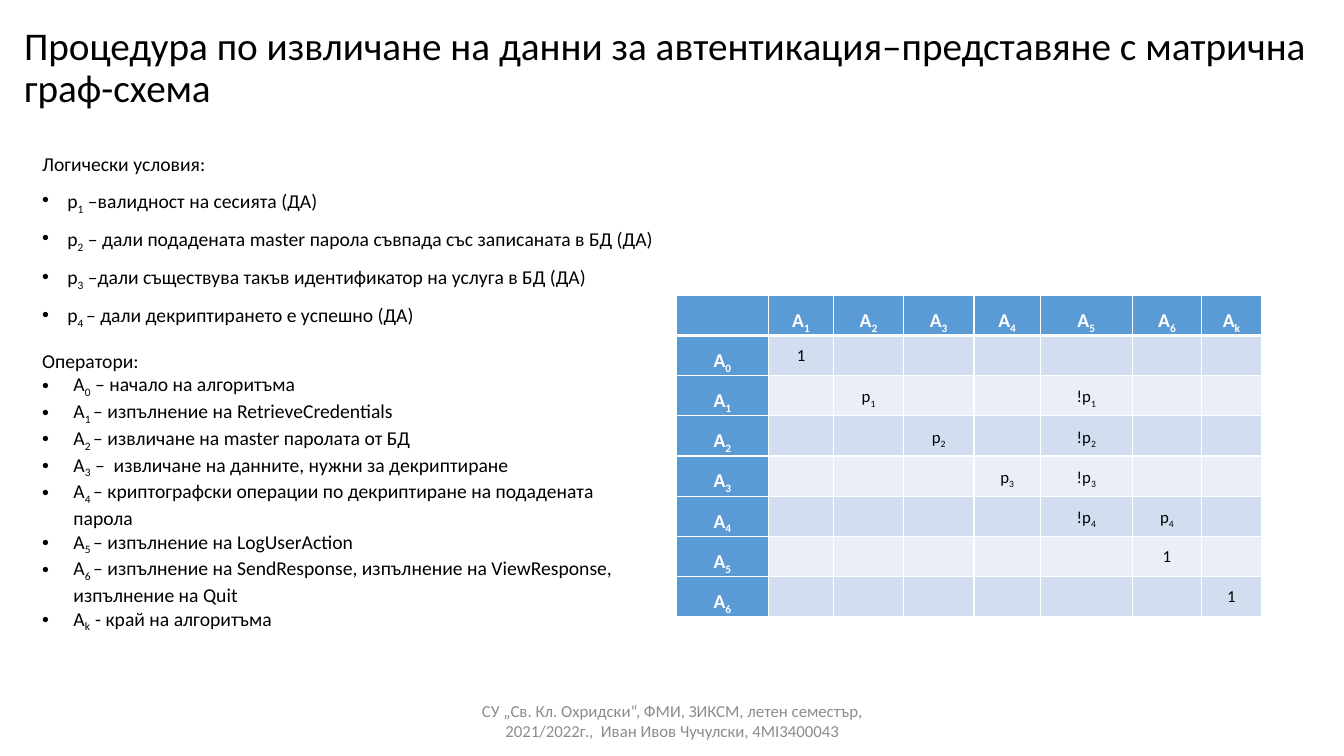
import pptx
import pptx.dml.color
import pptx.enum.text
import pptx.oxml
import pptx.oxml.ns
import pptx.util
from dataclasses import dataclass

Inches = pptx.util.Inches
Pt = pptx.util.Pt
MSO_ANCHOR = pptx.enum.text.MSO_ANCHOR
PP_ALIGN = pptx.enum.text.PP_ALIGN


@dataclass
class Theme:
    font: str = "Calibri"
    title_size: int = 28
    body_size: int = 14
    small_size: int = 12
    ink: str = "000000"
    muted: str = "8C8C8C"
    white: str = "FFFFFF"
    header: str = "5B9BD5"
    bands: tuple = ("D2DEEF", "EAEFF7")


theme = Theme()


def add_text(p, text, size, color, bold=False):
    """Write text into a paragraph; parts between bars become subscripts."""
    for i, part in enumerate(text.split("|")):
        if not part:
            continue
        r = p.add_run()
        r.text = part
        r.font.name = theme.font
        r.font.size = Pt(size)
        r.font.bold = bold
        r.font.color.rgb = pptx.dml.color.RGBColor.from_string(color)
        if i % 2:
            r._r.get_or_add_rPr().set("baseline", "-25000")


def add_box(left, top, width, height, anchor=MSO_ANCHOR.TOP):
    sp = s.shapes.add_textbox(Inches(left), Inches(top), Inches(width), Inches(height))
    tf = sp.text_frame
    tf.word_wrap = True
    tf.vertical_anchor = anchor
    return tf


prs = pptx.Presentation()
prs.slide_width = Inches(13.33)
prs.slide_height = Inches(7.5)
s = prs.slides.add_slide(prs.slide_layouts[6])

# Title
tf = add_box(0.14, 0.17, 13.19, 1.45)
tf.margin_top = Inches(0.09)
p = tf.paragraphs[0]
p.line_spacing = 0.9
add_text(p, "Процедура по извличане на данни за автентикация–представяне с матрична граф-схема",
         theme.title_size, theme.ink)

# Conditions and operators: a heading line followed by bullets
conditions = [
    "Логически условия:",
    "p|1| –валидност на сесията (ДА)",
    "p|2| – дали подадената master парола съвпада със записаната в БД (ДА)",
    "p|3| –дали съществува такъв идентификатор на услуга в БД (ДА)",
    "p|4 |– дали декриптирането е успешно (ДА)",
]
operators = [
    "Оператори:",
    "A|0| – начало на алгоритъма",
    "A|1 |– изпълнение на RetrieveCredentials",
    "A|2 |– извличане на master паролата от БД",
    "A|3| –  извличане на данните, нужни за декриптиране",
    "A|4 |– криптографски операции по декриптиране на подадената парола",
    "A|5 |– изпълнение на LogUserAction",
    "A|6 |– изпълнение на SendResponse, изпълнение на ViewResponse, изпълнение на Quit",
    "A|k  |- край на алгоритъма",
]
lists = [
    (conditions, (0.32, 1.48, 6.4, 1.93), 0.25, 0.9, 10),
    (operators, (0.32, 3.41, 6.01, 2.93), 0.31, 1.0, 0),
]
for lines, box, indent, spacing, before in lists:
    tf = add_box(*box)
    for i, line in enumerate(lines):
        p = tf.add_paragraph() if i else tf.paragraphs[0]
        p.line_spacing = spacing
        p.space_before = Pt(before)
        add_text(p, line, theme.body_size, theme.ink)
        if i:
            pPr = p._p.get_or_add_pPr()
            pPr.set("marL", str(Inches(indent)))
            pPr.set("indent", str(-Inches(indent)))
            for tag, key, value in (("buFont", "typeface", "Arial"), ("buChar", "char", "•")):
                bullet = pptx.oxml.parse_xml(f'<a:{tag} {pptx.oxml.ns.nsdecls("a")}/>')
                bullet.set(key, value)
                pPr.append(bullet)

# Transition matrix: the filled cells by (row, column)
widths = [0.91, 0.65, 0.69, 0.7, 0.66, 0.91, 0.69, 0.59]
count = len(widths)
table_height = 3.16
entries = {(1, 1): "1", (5, 6): "p|4|", (6, 6): "1", (7, 7): "1"}
for n in range(1, 5):
    entries[n + 1, 5] = f"!p|{n}|"
    if n < 4:
        entries[n + 1, n + 1] = f"p|{n}|"
for n in range(1, count):
    entries[0, n] = "A|k|" if n == count - 1 else f"A|{n}|"
    entries[n, 0] = f"A|{n - 1}|"

table = s.shapes.add_table(count, count, Inches(6.71), Inches(2.93),
                           Inches(sum(widths)), Inches(table_height)).table
for col, width in zip(table.columns, widths):
    col.width = Inches(width)
for i, row in enumerate(table.rows):
    row.height = Inches(table_height / count)
    for j, cell in enumerate(row.cells):
        is_header = i == 0 or j == 0
        cell.margin_left = cell.margin_right = Inches(0.07)
        cell.margin_top = cell.margin_bottom = 0
        for side in "LRTB":
            thick = (i, side) in ((0, "B"), (1, "T"))
            cell._tc.get_or_add_tcPr().append(pptx.oxml.parse_xml(
                f'<a:ln{side} {pptx.oxml.ns.nsdecls("a")} w="{Pt(3 if thick else 1)}">'
                f'<a:solidFill><a:srgbClr val="{theme.white}"/></a:solidFill></a:ln{side}>'))
        cell.fill.solid()
        cell.fill.fore_color.rgb = pptx.dml.color.RGBColor.from_string(
            theme.header if is_header else theme.bands[(i - 1) % 2])
        if (i, j) in entries:
            p = cell.text_frame.paragraphs[0]
            p.alignment = PP_ALIGN.CENTER
            p.line_spacing = 1.5
            add_text(p, entries[i, j],
                     theme.body_size if is_header else theme.small_size,
                     theme.white if is_header else theme.ink, is_header)

# Footer
tf = add_box(4.42, 6.95, 4.5, 0.4, MSO_ANCHOR.MIDDLE)
p = tf.paragraphs[0]
p.alignment = PP_ALIGN.CENTER
add_text(p, "СУ „Св. Кл. Охридски“, ФМИ, ЗИКСМ, летен семестър, 2021/2022г.,  Иван Ивов Чучулски, 4MI3400043",
         theme.small_size, theme.muted)

prs.save("out.pptx")
